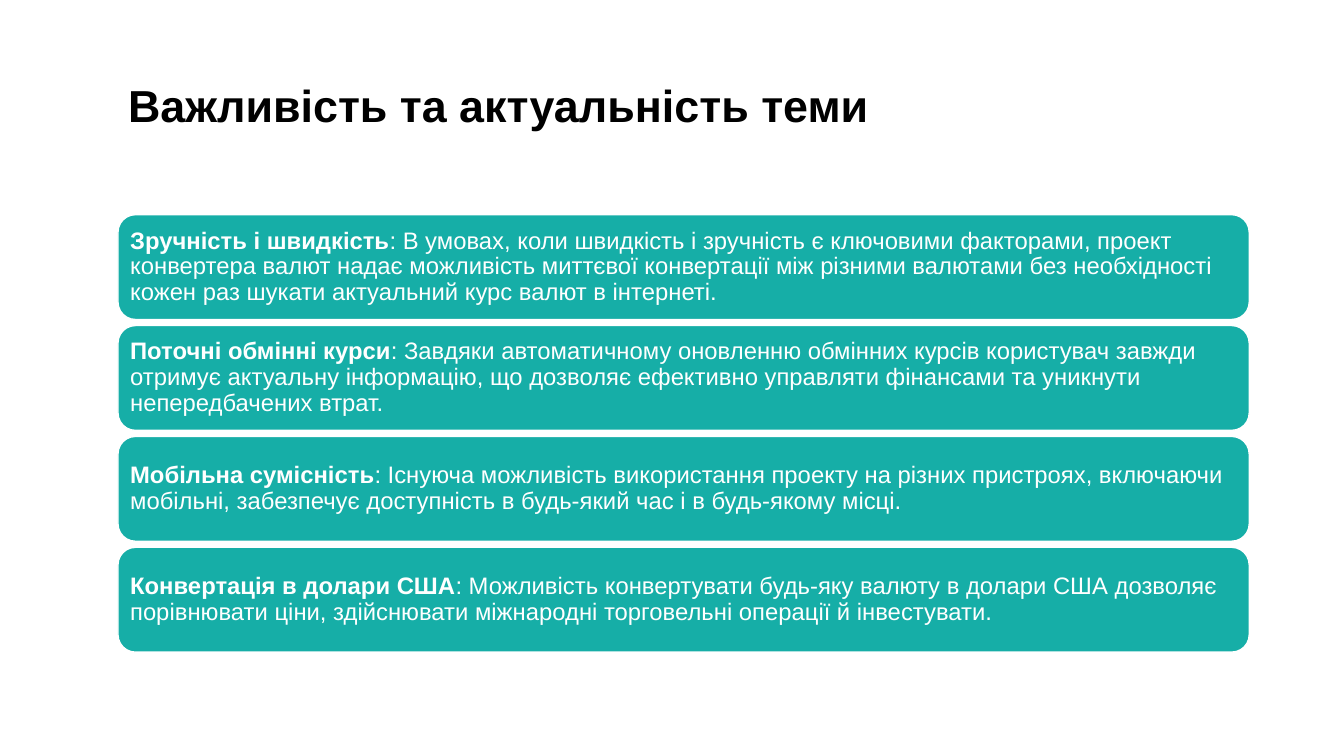
from pptx import Presentation
from pptx.dml.color import RGBColor
from pptx.enum.shapes import MSO_SHAPE
from pptx.enum.text import MSO_ANCHOR, MSO_AUTO_SIZE, PP_ALIGN
from pptx.util import Inches, Pt

ROUNDED = MSO_SHAPE.ROUNDED_RECTANGLE
MIDDLE, BOTTOM = MSO_ANCHOR.MIDDLE, MSO_ANCHOR.BOTTOM
NO_FIT = MSO_AUTO_SIZE.NONE
LEFT = PP_ALIGN.LEFT

COLORS = {"title": "000000", "card": "16AEA7", "white": "FFFFFF"}
TITLE = "Важливість та актуальність теми"
CARDS = [
    ("Зручність і швидкість",
     ": В умовах, коли швидкість і зручність є ключовими факторами, проект "
     "конвертера валют надає можливість миттєвої конвертації між різними "
     "валютами без необхідності кожен раз шукати актуальний курс валют в інтернеті."),
    ("Поточні обмінні курси",
     ": Завдяки автоматичному оновленню обмінних курсів користувач завжди "
     "отримує актуальну інформацію, що дозволяє ефективно управляти фінансами "
     "та уникнути непередбачених втрат."),
    ("Мобільна сумісність",
     ": Існуюча можливість використання проекту на різних пристроях, включаючи "
     "мобільні, забезпечує доступність в будь-який час і в будь-якому місці."),
    ("Конвертація в долари США",
     ": Можливість конвертувати будь-яку валюту в долари США дозволяє "
     "порівнювати ціни, здійснювати міжнародні торговельні операції й інвестувати."),
]
CARD_LEFT, CARD_TOP, CARD_WIDTH, CARD_HEIGHT, CARD_PITCH = 1.17, 2.13, 11.22, 1.04, 1.1


class SlideBuilder:
    """Hold the slide and its text style, and add its elements."""

    font = "Arial"
    line_spacing = 0.9
    inset = Inches(0.07)

    def __init__(self, slide):
        self.slide = slide

    def color(self, name):
        return RGBColor.from_string(COLORS[name])

    def format_run(self, r, size, color, bold):
        r.font.name = self.font
        r.font.size = Pt(size)
        r.font.bold = bold
        r.font.color.rgb = self.color(color)

    def format_paragraph(self, p):
        p.alignment = LEFT
        p.line_spacing = self.line_spacing

    def title(self, text, left, top, width, height):
        sp = self.slide.shapes.title
        sp.left, sp.top = Inches(left), Inches(top)
        sp.width, sp.height = Inches(width), Inches(height)
        tf = sp.text_frame
        tf.text = text
        tf.auto_size = NO_FIT
        tf.vertical_anchor = BOTTOM
        p = tf.paragraphs[0]
        self.format_paragraph(p)
        self.format_run(p.runs[0], 32, "title", True)

    def card(self, lead, body, left, top, width, height):
        sp = self.slide.shapes.add_shape(
            ROUNDED, Inches(left), Inches(top), Inches(width), Inches(height))
        sp.shadow.inherit = False
        sp.fill.solid()
        sp.fill.fore_color.rgb = self.color("card")
        sp.line.color.rgb = self.color("white")
        sp.line.width = Pt(1)
        tf = sp.text_frame
        tf.word_wrap = True
        tf.vertical_anchor = MIDDLE
        tf.margin_left = tf.margin_right = self.inset
        tf.margin_top = tf.margin_bottom = self.inset
        p = tf.paragraphs[0]
        p.text = lead
        p.add_run().text = body
        self.format_paragraph(p)
        for r, bold in zip(p.runs, (True, False)):
            self.format_run(r, 17, "white", bold)


def main():
    prs = Presentation()
    prs.slide_width, prs.slide_height = Inches(13.33), Inches(7.5)
    s = SlideBuilder(prs.slides.add_slide(prs.slide_layouts[5]))
    s.title(TITLE, 1.17, 0.32, 9.72, 1.04)
    for i, (lead, body) in enumerate(CARDS):
        s.card(lead, body, CARD_LEFT, CARD_TOP + i * CARD_PITCH, CARD_WIDTH, CARD_HEIGHT)
    prs.save("out.pptx")


if __name__ == "__main__":
    main()
